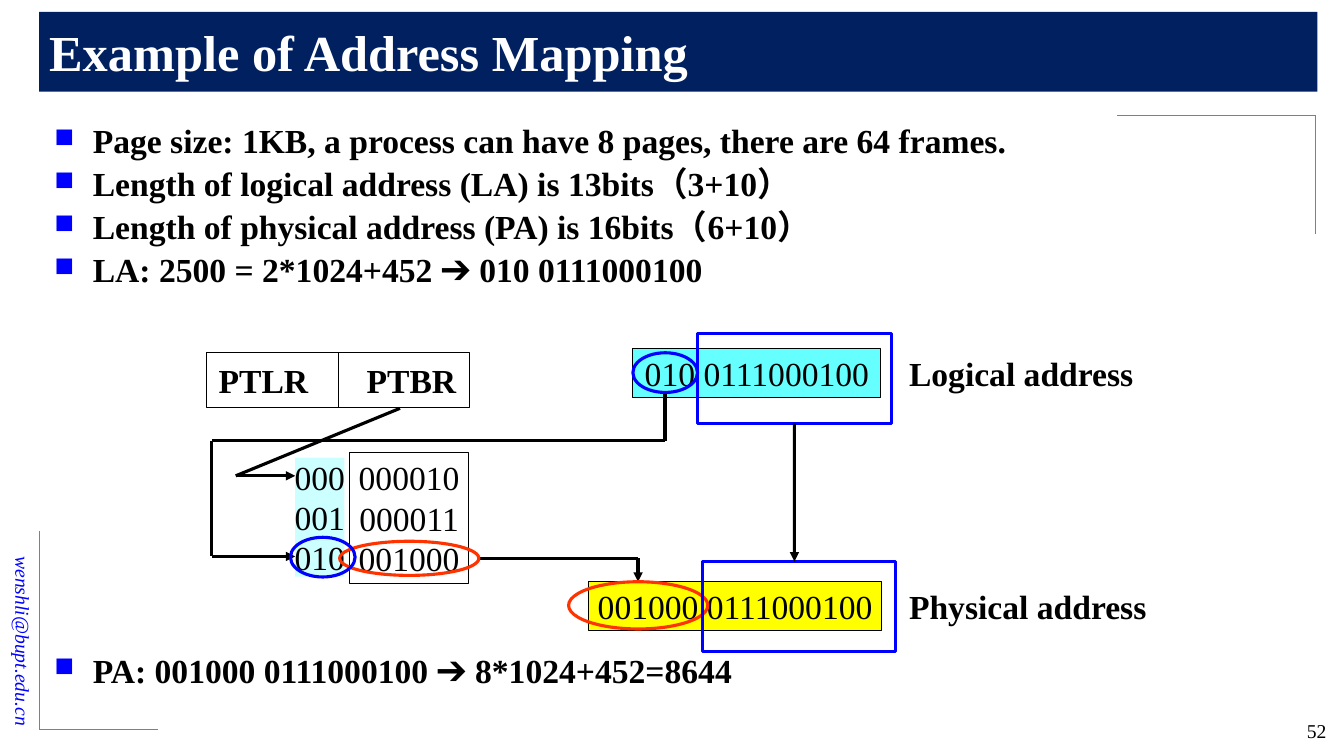
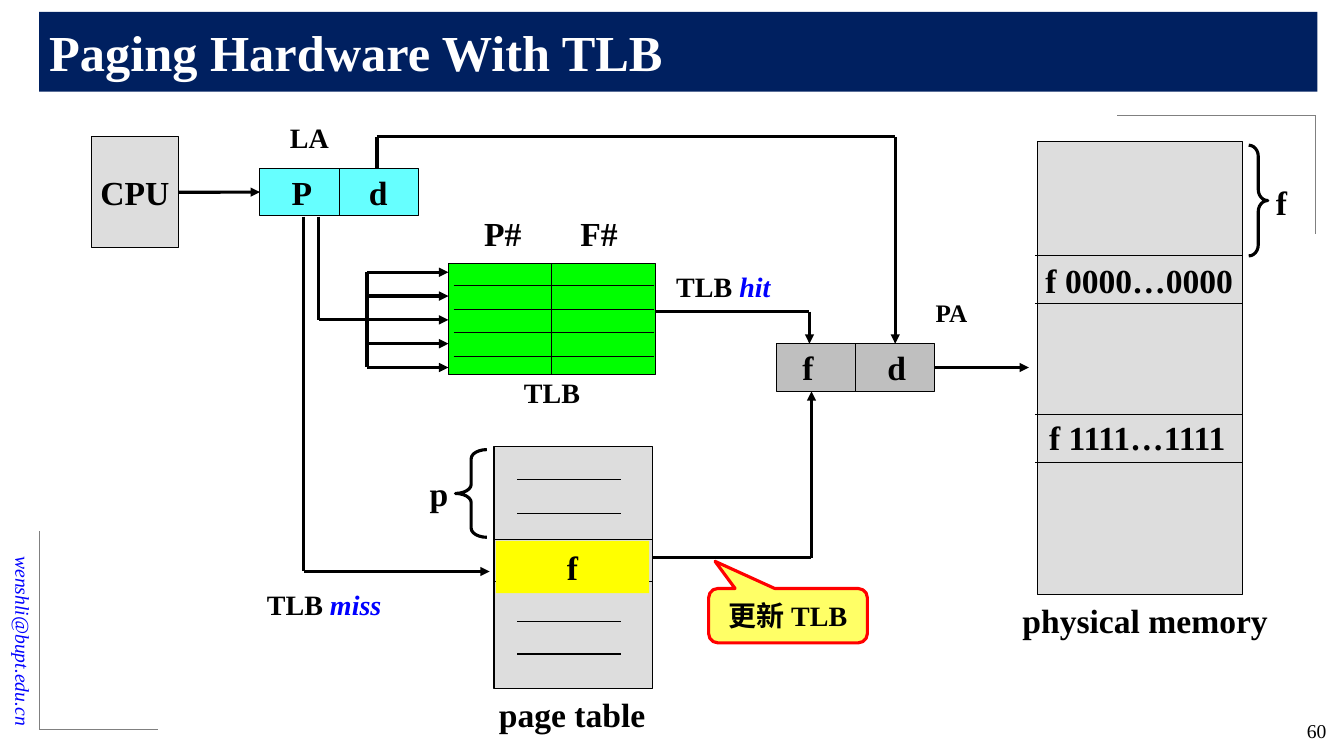
from lxml import etree
from pptx import Presentation
from pptx.dml.color import RGBColor
from pptx.enum.shapes import MSO_CONNECTOR, MSO_SHAPE as SHAPE
from pptx.enum.text import MSO_ANCHOR as ANCHOR, PP_ALIGN as ALIGN
from pptx.oxml.ns import qn
from pptx.util import Cm, Pt

# Shared look
FONT = "Times New Roman"
BLACK, WHITE, BLUE, RED = "000000", "FFFFFF", "0000FF", "FF3300"
NAVY, GRAY, LIGHT, MID = "002060", "808080", "DDDDDD", "BFBFBF"
CYAN, PALE_CYAN, YELLOW, GREEN = "66FFFF", "CCFFFF", "FFFF00", "00FF00"
THIN, THICK = 0.75, 2.25


def rgb(value):
    return RGBColor.from_string(value)


# Text
def add_run(p, text, size=24, color=BLACK, bold=True, italic=False):
    r = p.add_run()
    r.text = text
    f = r.font
    f.name, f.size, f.bold, f.italic = FONT, Pt(size), bold, italic
    f.color.rgb = rgb(color)


def write(sp, lines, align=ALIGN.CENTER, wrap=False, anchor=ANCHOR.MIDDLE, **font):
    tf = sp.text_frame
    tf.word_wrap = wrap
    tf.vertical_anchor = anchor
    for i, text in enumerate(lines):
        p = tf.add_paragraph() if i else tf.paragraphs[0]
        p.alignment = align
        add_run(p, text, **font)
    return p


def label(s, x, y, w, h, text, **style):
    sp = s.shapes.add_textbox(Cm(x), Cm(y), Cm(w), Cm(h))
    return write(sp, [text], **style)


def bullet(p, text, before):
    pPr = p._p.get_or_add_pPr()
    pPr.set("marL", str(Cm(0.97)))
    pPr.set("indent", str(-Cm(0.97)))
    color = etree.SubElement(pPr, qn("a:buClr"))
    etree.SubElement(color, qn("a:srgbClr"), val=BLUE)
    etree.SubElement(pPr, qn("a:buSzPct"), val="80000")
    etree.SubElement(pPr, qn("a:buFont"), typeface="Wingdings", charset="2")
    etree.SubElement(pPr, qn("a:buChar"), char="n")
    p.line_spacing = 0.9
    p.space_before = Pt(before)
    add_run(p, text)


# Shapes and lines
def shape(s, kind, x, y, w, h, fill=None, line=BLACK, width=THIN, adj=()):
    sp = s.shapes.add_shape(kind, Cm(x), Cm(y), Cm(w), Cm(h))
    sp.shadow.inherit = False
    if fill:
        sp.fill.solid()
        sp.fill.fore_color.rgb = rgb(fill)
    else:
        sp.fill.background()
    if line:
        sp.line.color.rgb = rgb(line)
        sp.line.width = Pt(width)
    else:
        sp.line.fill.background()
    for i, value in enumerate(adj):
        sp.adjustments[i] = value
    return sp


def rect(s, x, y, w, h, fill=None, lines=(), bold=True, **style):
    sp = shape(s, SHAPE.RECTANGLE, x, y, w, h, fill, **style)
    if lines:
        write(sp, lines, bold=bold)
    return sp


def line(s, x1, y1, x2, y2, color=BLACK, width=THIN, arrow=False):
    c = s.shapes.add_connector(MSO_CONNECTOR.STRAIGHT, Cm(x1), Cm(y1), Cm(x2), Cm(y2))
    c.line.color.rgb = rgb(color)
    c.line.width = Pt(width)
    if arrow:
        etree.SubElement(c.line._get_or_add_ln(), qn("a:tailEnd"), type="triangle")
    etree.SubElement(c._element.spPr, qn("a:effectLst"))
    return c


def route(s, *points):
    """Thick path through the points, with an arrowhead at the last one."""
    for i, (a, b) in enumerate(zip(points, points[1:]), 2):
        line(s, *a, *b, width=THICK, arrow=i == len(points))


def split_box(s, x, y, w, h, fill, labels=()):
    """Box halved by a vertical line; labels are (text, centre x)."""
    box = rect(s, x, y, w, h, fill)
    divider = line(s, x + w / 2, y, x + w / 2, y + h)
    divider.begin_connect(box, 0)
    divider.end_connect(box, 2)
    for text, cx in labels:
        label(s, cx - w / 4, y, w / 2, h, text)
    return box


# Slide frame
def corner(s, x, y, dx, dy):
    line(s, x, y, x + dx, y, GRAY, 0.5)
    line(s, x, y, x, y + dy, GRAY, 0.5)


def new_slide(prs, title, number):
    s = prs.slides.add_slide(prs.slide_layouts[6])
    mail = s.shapes.add_textbox(Cm(-2.77), Cm(14.76), Cm(6.71), Cm(0.86))
    mail.rotation = 90
    write(mail, ["wenshli@bupt.edu.cn"], ALIGN.RIGHT, True,
          size=14, color=BLUE, bold=False, italic=True)
    corner(s, 0.99, 0.3, 5, 1.5)
    corner(s, 0.99, 18.39, 3, -5)
    corner(s, 33.15, 2.9, -5, 3)
    band = rect(s, 0.99, 0.3, 32.21, 2.01, NAVY, line=None)
    write(band, [title], ALIGN.LEFT, True, size=36, color=WHITE)
    label(s, 30.86, 17.98, 2.82, 0.91, str(number), align=ALIGN.RIGHT, wrap=True,
          anchor=ANCHOR.TOP, size=14, bold=False)
    return s


def address_mapping(prs):
    s = new_slide(prs, "Example of Address Mapping", 52)

    # Bullets, the last one below the diagram
    tf = s.shapes.add_textbox(Cm(1.12), Cm(3.02), Cm(32), Cm(15.49)).text_frame
    tf.word_wrap = True
    items = [
        ("Page size: 1KB, a process can have 8 pages, there are 64 frames.", 0),
        ("Length of logical address (LA) is 13bits（3+10）", 4.8),
        ("Length of physical address (PA) is 16bits（6+10）", 4.8),
        ("LA: 2500 = 2*1024+452 ➔ 010 0111000100", 4.8),
        ("PA: 001000 0111000100 ➔ 8*1024+452=8644", 260),
    ]
    for i, (text, before) in enumerate(items):
        bullet(tf.add_paragraph() if i else tf.paragraphs[0], text, before)

    # Registers and page table
    rect(s, 8.81, 11.4, 3, 3.3, WHITE, ["000010", "000011", "001000"], bold=False)
    rect(s, 7.44, 11.53, 1.24, 3, PALE_CYAN, ["000", "001", "010"], bold=False, line=None)
    split_box(s, 5.21, 8.89, 6.63, 1.37, WHITE, [("PTLR", 6.64), ("PTBR", 10.37)])

    # Addresses
    rect(s, 15.95, 8.79, 6.25, 1.24, CYAN, ["010 0111000100"], bold=False)
    label(s, 22.61, 8.79, 6.25, 1.24, "Logical address")
    rect(s, 14.83, 14.66, 7.39, 1.24, YELLOW, ["001000 0111000100"], bold=False)
    label(s, 22.61, 14.66, 6.58, 1.24, "Physical address")

    # Lookup paths
    route(s, (10.08, 10.29), (5.94, 11.99), (7.44, 11.99))
    route(s, (16.76, 9.91), (16.76, 11.1), (5.33, 11.1), (5.33, 14.02), (7.44, 14.02))
    route(s, (12.07, 14.07), (16.08, 14.07), (16.08, 14.66))

    # Highlights: frame number, page number, offset
    for color, *place in [(RED, 8.56, 13.64, 3.51, 0.86), (RED, 14.33, 14.66, 3.51, 1.19),
                          (BLUE, 7.32, 13.54, 1.63, 1), (BLUE, 15.95, 8.89, 1.63, 1)]:
        shape(s, SHAPE.OVAL, *place, line=color, width=THICK)
    offset = rect(s, 17.58, 8.41, 4.88, 2.26, line=BLUE, width=THICK)
    rect(s, 17.7, 14.15, 4.88, 2.26, line=BLUE, width=THICK)
    copied = line(s, 20.02, 10.67, 20.02, 14.15, width=THICK, arrow=True)
    copied.begin_connect(offset, 2)


def paging_hardware(prs):
    s = new_slide(prs, "Paging Hardware With TLB", 60)

    # CPU and logical address
    cpu = rect(s, 2.31, 3.45, 2.18, 2.79, LIGHT, ["CPU"])
    logical = split_box(s, 6.55, 4.24, 4, 1.2, CYAN, [("P", 7.61), ("d", 9.53)])
    label(s, 6.81, 2.9, 1.98, 1.12, "LA", size=20)
    issue = line(s, 4.49, 4.84, 6.55, 4.84, width=THICK, arrow=True)
    issue.begin_connect(cpu, 3)
    issue.end_connect(logical, 1)

    # Page table
    rect(s, 12.45, 11.25, 4, 6.1, LIGHT)
    for y in (13.59, 14.66):
        line(s, 12.45, y, 16.45, y)
    for y in (12.09, 12.95, 15.65, 16.48):
        line(s, 13.03, y, 15.65, y)
    rect(s, 12.5, 13.63, 3.86, 1.32, YELLOW, ["f"], line=None)
    label(s, 11.92, 17.37, 5, 1.27, "page table")
    label(s, 10.57, 11.79, 0.99, 1.27, "p")
    shape(s, SHAPE.LEFT_BRACE, 11.48, 11.33, 0.79, 2.21, width=THICK, adj=(0.29, 0.5))

    # Physical address
    physical = split_box(s, 19.56, 8.66, 4, 1.2, MID, [("f", 20.36), ("d", 22.6)])
    label(s, 23.32, 7.37, 1.32, 1.02, "PA", size=18)
    access = line(s, 23.56, 9.26, 25.93, 9.26, width=THICK, arrow=True)
    access.begin_connect(physical, 3)

    # Physical memory
    rect(s, 26.14, 3.56, 5.18, 11.43, LIGHT)
    for y in (6.45, 7.65, 10.44, 11.66):
        line(s, 26.09, y, 31.29, y)
    label(s, 25.96, 6.42, 5.5, 1.3, "f 0000…0000")
    label(s, 25.91, 10.36, 5.5, 1.3, "f 1111…1111")
    label(s, 25.36, 14.99, 7, 1.27, "physical memory")
    shape(s, SHAPE.RIGHT_BRACE, 31.47, 3.66, 0.48, 2.79, width=THICK, adj=(0.58, 0.5))
    label(s, 31.9, 4.45, 0.79, 1.27, "f")

    # TLB with its parallel search
    split_box(s, 11.3, 6.65, 5.22, 2.79, GREEN)
    for i in range(4):
        line(s, 11.43, 7.19 + 0.6 * i, 16.48, 7.19 + 0.6 * i)
    for text, cx in [("P#", 12.67), ("F#", 15.1)]:
        label(s, cx - 1, 5.23, 2, 1.3, text)
    label(s, 12.66, 9.35, 2.5, 1.09, "TLB", size=20)
    line(s, 8.03, 5.46, 8.03, 8.06, width=THICK)
    line(s, 8.03, 8.06, 9.25, 8.06, width=THICK)
    line(s, 9.25, 6.86, 9.25, 9.26, width=THICK)
    for i in range(5):
        route(s, (9.25, 6.86 + 0.6 * i), (11.3, 6.86 + 0.6 * i))

    # Offset, hit, miss and table paths
    route(s, (9.5, 4.24), (9.5, 3.45), (22.56, 3.45), (22.56, 8.66))
    route(s, (16.52, 7.85), (20.4, 7.85), (20.4, 8.66))
    route(s, (7.65, 5.46), (7.65, 14.4), (12.34, 14.4))
    route(s, (16.45, 14.05), (20.45, 14.05), (20.45, 9.86))
    for cx, y, outcome in [(18.23, 6.65, "hit"), (8.17, 14.66, "miss")]:
        p = label(s, cx - 2, y, 4, 1.12, "TLB ", size=20)
        add_run(p, outcome, 20, BLUE, italic=True)

    # Update note
    note = shape(s, SHAPE.ROUNDED_RECTANGULAR_CALLOUT, 17.86, 14.83, 4, 1.37,
                 "FFFF66", "FF0000", THICK, (-0.46, -1, 0.17))
    write(note, ["更新 TLB"], size=20)


def main():
    prs = Presentation()
    prs.slide_width, prs.slide_height = Cm(33.87), Cm(19.05)
    address_mapping(prs)
    paging_hardware(prs)
    prs.save("out.pptx")


if __name__ == "__main__":
    main()
